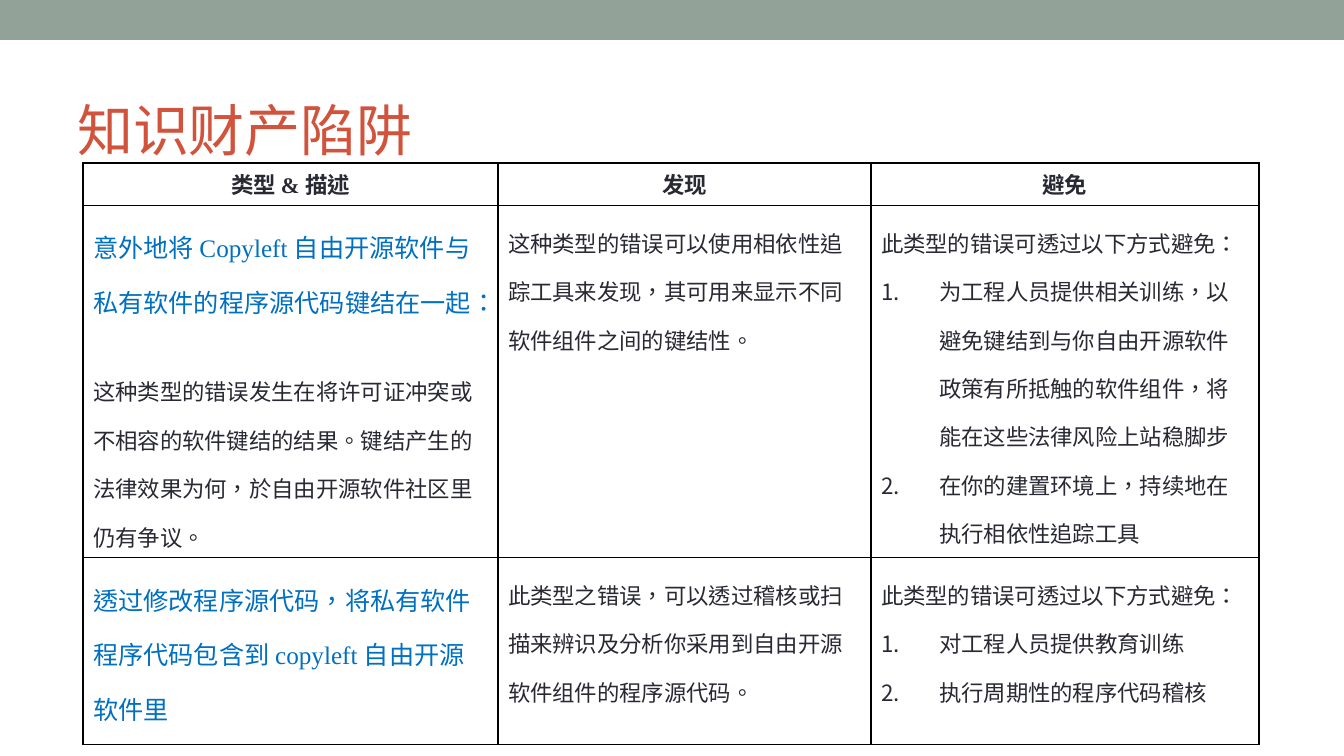
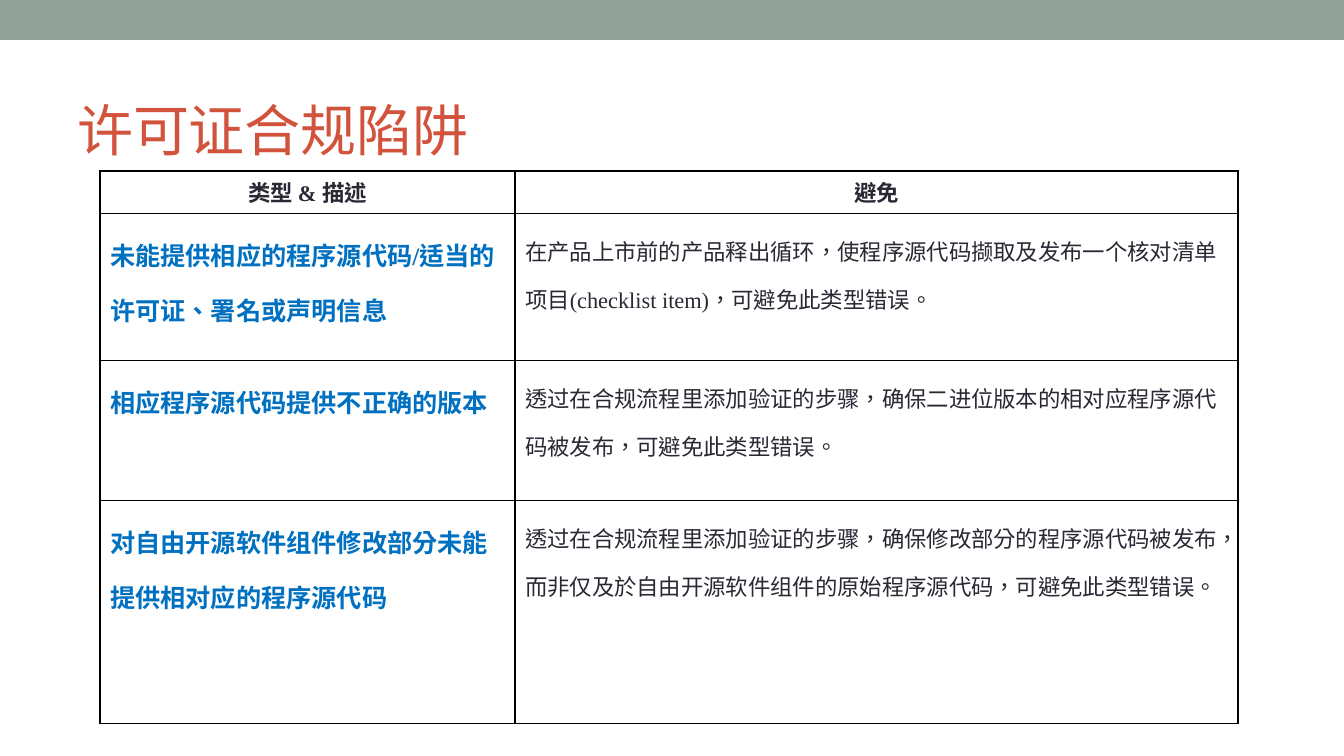
import lxml.etree
import pptx
import pptx.dml.color
import pptx.enum.shapes
import pptx.enum.text
import pptx.oxml.ns
import pptx.util

EMU_PER_PX = 914400 / 100.8
SLIDE_WIDTH, SLIDE_HEIGHT = 1344, 756
BAND_BOX = (0, 0, SLIDE_WIDTH, 40)
TITLE_BOX = (67, 58, 1210, 109)
LIST_INDENT = 58
FONT = "Times New Roman"
COLORS = {
    "band": "93A299",
    "title": "D2533C",
    "text": "292934",
    "topic": "0070C0",
    "border": "000000",
}
# Each style: size, colour, bold, line spacing, space before in points
STYLES = {
    "title": (40, "title", False, 1.5, 0),
    "header": (16, "text", True, 1, 0),
    "topic": (18, "topic", False, 1.5, 0),
    "bold topic": (18, "topic", True, 1.5, 0),
    "body": (16, "text", False, 1.5, 0),
    "spaced body": (16, "text", False, 1.5, 28),
    "numbered": (16, "text", False, 1.5, 0),
}

IP_HEADERS = ["类型 & 描述", "发现", "避免"]
IP_ROWS = [
    [
        [("topic", "意外地将 Copyleft 自由开源软件与私有软件的程序源代码键结在一起："),
         ("spaced body", "这种类型的错误发生在将许可证冲突或不相容的软件键结的结果。"
                         "键结产生的法律效果为何，於自由开源软件社区里仍有争议。")],
        [("body", "这种类型的错误可以使用相依性追踪工具来发现，其可用来显示不同软件组件之间的键结性。")],
        [("body", "此类型的错误可透过以下方式避免："),
         ("numbered", "为工程人员提供相关训练，以避免键结到与你自由开源软件政策有所抵触的软件组件，"
                      "将能在这些法律风险上站稳脚步"),
         ("numbered", "在你的建置环境上，持续地在执行相依性追踪工具")],
    ],
    [
        [("topic", "透过修改程序源代码，将私有软件程序代码包含到 copyleft 自由开源软件里")],
        [("body", "此类型之错误，可以透过稽核或扫描来辨识及分析你采用到自由开源软件组件的程序源代码。")],
        [("body", "此类型的错误可透过以下方式避免："),
         ("numbered", "对工程人员提供教育训练"),
         ("numbered", "执行周期性的程序代码稽核")],
    ],
]

LICENSE_HEADERS = ["类型 & 描述", "避免"]
LICENSE_ROWS = [
    [
        [("bold topic", "未能提供相应的程序源代码/适当的许可证、署名或声明信息")],
        [("body", "在产品上市前的产品释出循环，使程序源代码撷取及发布一个核对清单项目"
                  "(checklist item)，可避免此类型错误。")],
    ],
    [
        [("bold topic", "相应程序源代码提供不正确的版本")],
        [("body", "透过在合规流程里添加验证的步骤，确保二进位版本的相对应程序源代码被发布，可避免此类型错误。")],
    ],
    [
        [("bold topic", "对自由开源软件组件修改部分未能提供相对应的程序源代码")],
        [("body", "透过在合规流程里添加验证的步骤，确保修改部分的程序源代码被发布，"
                  "而非仅及於自由开源软件组件的原始程序源代码，可避免此类型错误。")],
    ],
]


def px(length):
    return pptx.util.Emu(round(length * EMU_PER_PX))


def rgb(name):
    return pptx.dml.color.RGBColor.from_string(COLORS[name])


def add_element(parent, tag, **attributes):
    return lxml.etree.SubElement(parent, pptx.oxml.ns.qn(tag), attributes)


def add_color(parent, name):
    add_element(parent, "a:srgbClr", val=COLORS[name])


def number_paragraph(paragraph):
    properties = paragraph._p.get_or_add_pPr()
    properties.set("marL", str(px(LIST_INDENT)))
    properties.set("indent", str(-px(LIST_INDENT)))
    add_color(add_element(properties, "a:buClr"), "text")
    add_element(properties, "a:buAutoNum", type="arabicPeriod")


def write_paragraph(paragraph, style, text):
    size, color, bold, line_spacing, space_before = STYLES[style]
    centered = style == "header"
    alignment = pptx.enum.text.PP_ALIGN
    paragraph.alignment = alignment.CENTER if centered else alignment.LEFT
    paragraph.line_spacing = line_spacing
    paragraph.space_before = pptx.util.Pt(space_before)
    if style == "numbered":
        number_paragraph(paragraph)
    run = paragraph.add_run()
    run.text = text
    run.font.name = FONT
    run.font.size = pptx.util.Pt(size)
    run.font.bold = bold
    run.font.color.rgb = rgb(color)
    run.font.language_id = pptx.enum.lang.MSO_LANGUAGE_ID.TRADITIONAL_CHINESE


def outline_cell(cell):
    properties = cell._tc.get_or_add_tcPr()
    for side in ("a:lnL", "a:lnR", "a:lnT", "a:lnB"):
        line = add_element(properties, side, w=str(pptx.util.Pt(1)))
        add_color(add_element(line, "a:solidFill"), "border")


def fill_cell(cell, paragraphs):
    outline_cell(cell)
    cell.fill.background()
    frame = cell.text_frame
    for index, (style, text) in enumerate(paragraphs):
        paragraph = frame.add_paragraph() if index else frame.paragraphs[0]
        write_paragraph(paragraph, style, text)


def add_band(slide, box):
    band = slide.shapes.add_shape(
        pptx.enum.shapes.MSO_SHAPE.RECTANGLE, *map(px, box))
    band.shadow.inherit = False
    band.fill.solid()
    band.fill.fore_color.rgb = rgb("band")
    band.line.fill.background()


def set_title(slide, box, text):
    title = slide.shapes.title
    title.left, title.top, title.width, title.height = map(px, box)
    frame = title.text_frame
    frame.auto_size = pptx.enum.text.MSO_AUTO_SIZE.NONE
    frame.vertical_anchor = pptx.enum.text.MSO_ANCHOR.MIDDLE
    write_paragraph(frame.paragraphs[0], "title", text)


def add_pitfall_table(slide, left, top, widths, heights, headers, rows):
    grid = [[[("header", text)] for text in headers]] + rows
    box = (left, top, sum(widths), sum(heights))
    table = slide.shapes.add_table(
        len(heights), len(widths), *map(px, box)).table
    table.first_row = False
    table.horz_banding = False
    for column, width in zip(table.columns, widths):
        column.width = px(width)
    for row, height, contents in zip(table.rows, heights, grid):
        row.height = px(height)
        for cell, paragraphs in zip(row.cells, contents):
            fill_cell(cell, paragraphs)


def add_pitfall_slide(presentation, title, **table):
    slide = presentation.slides.add_slide(presentation.slide_layouts[5])
    add_band(slide, BAND_BOX)
    set_title(slide, TITLE_BOX, title)
    add_pitfall_table(slide, **table)


def main():
    presentation = pptx.Presentation()
    presentation.slide_width = px(SLIDE_WIDTH)
    presentation.slide_height = px(SLIDE_HEIGHT)
    add_pitfall_slide(
        presentation, "知识财产陷阱", left=83, top=163,
        widths=[415, 373, 388], heights=[42, 350, 187],
        headers=IP_HEADERS, rows=IP_ROWS)
    add_pitfall_slide(
        presentation, "许可证合规陷阱", left=100, top=171,
        widths=[415, 723], heights=[42, 147, 140, 223],
        headers=LICENSE_HEADERS, rows=LICENSE_ROWS)
    presentation.save("out.pptx")


if __name__ == "__main__":
    import pptx.enum.lang
    main()
